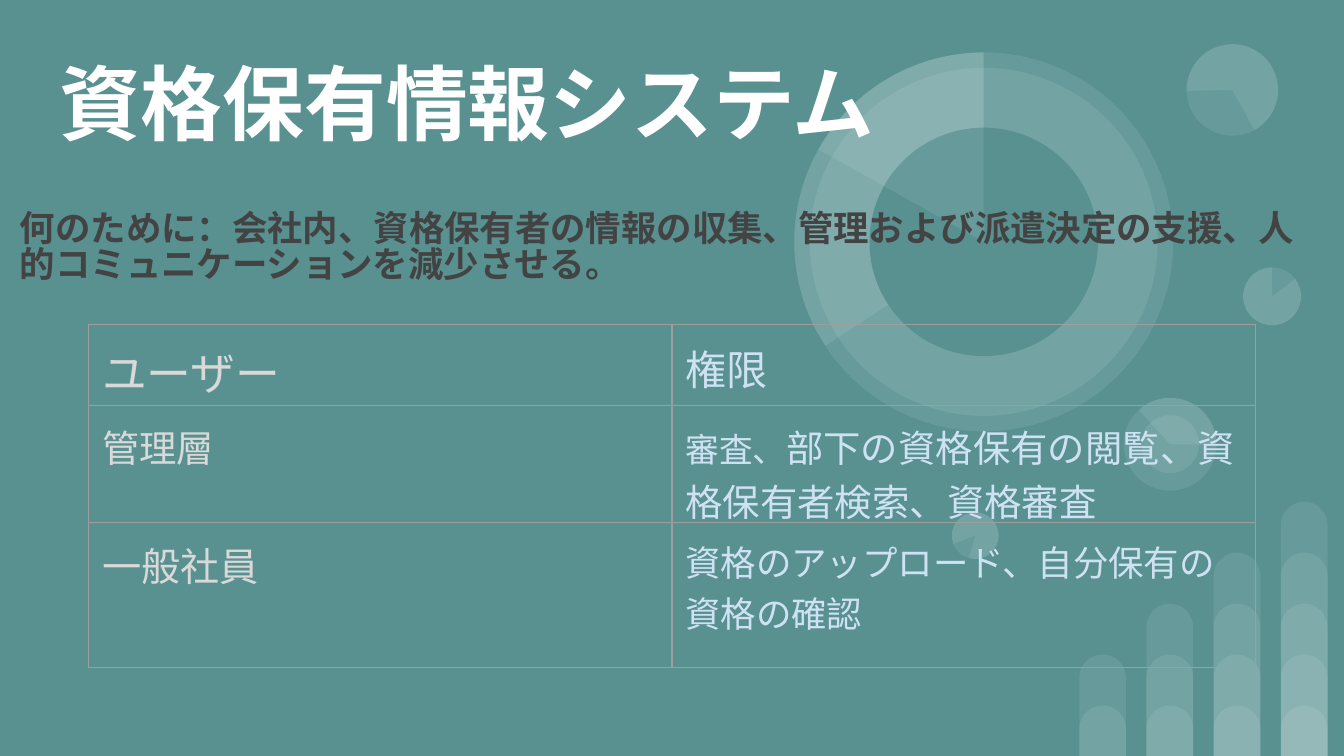
from lxml.etree import SubElement
from pptx import Presentation
from pptx.dml.color import RGBColor
from pptx.enum.shapes import MSO_SHAPE
from pptx.enum.text import MSO_ANCHOR, MSO_AUTO_SIZE, PP_ALIGN
from pptx.oxml import parse_xml
from pptx.oxml.ns import nsdecls, qn
from pptx.util import Pt

COLORS = {
    "background": "599191",
    "white": "FFFFFF",
    "purpose": "434343",
    "user": "D9D9D9",
    "rights": "CFE2F3",
    "border": "9E9E9E",
}
RGB = {name: RGBColor.from_string(value) for name, value in COLORS.items()}
FONT = "Arial"
INSET = Pt(7.2)

prs = Presentation()
prs.slide_width, prs.slide_height = Pt(720), Pt(405)
s = prs.slides.add_slide(prs.slide_layouts[5])
s.background.fill.solid()
s.background.fill.fore_color.rgb = RGB["background"]


def add_decor(kind, left, top, width, height, adjustments=(), rotation=0, color="white"):
    """Add a borderless background shape; white ones are 9% opaque."""
    sp = s.shapes.add_shape(kind, Pt(left), Pt(top), Pt(width), Pt(height))
    sp.shadow.inherit = False
    sp.line.fill.background()
    sp.fill.solid()
    sp.fill.fore_color.rgb = RGB[color]
    if color == "white":
        srgb = sp.element.spPr.find(qn("a:solidFill")).find(qn("a:srgbClr"))
        SubElement(srgb, qn("a:alpha"), val="9000")
    for i, value in enumerate(adjustments):
        sp.adjustments[i] = value
    sp.rotation = rotation


def style(p, size, color, bold=False):
    p.alignment = PP_ALIGN.LEFT
    p.font.name = FONT
    p.font.size = Pt(size)
    p.font.bold = bold
    p.font.color.rgb = RGB[color]


# Overlapping rounded bars, one layer more in each column
for column in range(4):
    for layer in range(column + 2):
        height = 27 + 27.3 * layer
        add_decor(MSO_SHAPE.ROUND_2_SAME_RECTANGLE, 578.2 + 36 * column,
                  405 - height, 25, height, (0.5, 0))

# Discs and pies: centre x, centre y, diameter, rotation, pie angles, colour
RING = (527, 129.6)
circles = [
    (681.5, 158.8, 31, 0, (), "white"),
    (522.4, 286.9, 25, 196.2, (), "white"),
    (626.8, 238, 49.7, 90, (), "white"),
    (626.8, 238, 49.7, 90, (82.45, 162.46), "white"),
    (626.8, 238, 31, 90, (), "white"),
    (681.5, 158.8, 31, 0, (193.77, 162), "white"),
    (660.2, 48.2, 49, 215.9, (), "white"),
    (660.2, 48.2, 49, 215.9, (193.77, 123.14), "white"),
    (*RING, 203, 0, (), "white"),
    (*RING, 186.5, 34.1, (), "white"),
    (*RING, 203, 0, (88.01, 162), "white"),
    (*RING, 122.4, 34.1, (), "background"),
    (*RING, 203, 0, (125.54, 162), "white"),
    (522.4, 286.9, 25, 196.2, (193.77, 162), "white"),
]
for x, y, d, rotation, angles, color in circles:
    kind = MSO_SHAPE.PIE if angles else MSO_SHAPE.OVAL
    add_decor(kind, x - d / 2, y - d / 2, d, d, angles, rotation, color)

# Title, brought in front of the decoration
title = s.shapes.title
title.element.getparent().append(title.element)
title.left, title.top, title.width, title.height = Pt(24.5), Pt(13.7), Pt(671), Pt(133.2)
tf = title.text_frame
tf.auto_size = MSO_AUTO_SIZE.NONE
tf.word_wrap = True
tf.vertical_anchor = MSO_ANCHOR.MIDDLE
tf.margin_left = tf.margin_right = tf.margin_top = INSET
tf.margin_bottom = Pt(59)
tf.text = "資格保有情報システム"
style(tf.paragraphs[0], 43.8, "white", bold=True)

# Purpose
purpose = s.shapes.add_textbox(Pt(3.6), Pt(107.3), Pt(712), Pt(60.5))
tf = purpose.text_frame
tf.word_wrap = True
tf.margin_left = tf.margin_right = tf.margin_top = tf.margin_bottom = INSET
tf.text = "何のために：会社内、資格保有者の情報の収集、管理および派遣決定の支援、人的コミュニケーションを減少させる。"
style(tf.paragraphs[0], 19, "purpose", bold=True)
tf.paragraphs[0].line_spacing = 0.83

# Users and their rights: each cell is a list of (text, size) runs
rows = [
    (43.2, [("ユーザー", 24)], [("権限", 22)]),
    (62.6, [("管理層", 20)],
     [("審査、", 18), ("部下の資格保有の閲覧、資格保有者検索、資格審査", 20)]),
    (77.8, [("一般社員", 21)], [("資格のアップロード、自分保有の資格の確認", 19)]),
]
table = s.shapes.add_table(3, 2, Pt(47.5), Pt(173.9), Pt(625), Pt(183.6)).table
table.first_row = table.horz_banding = False
for column in table.columns:
    column.width = Pt(312.5)
for i, (height, *cells) in enumerate(rows):
    table.rows[i].height = Pt(height)
    for j, (runs, color) in enumerate(zip(cells, ("user", "rights"))):
        cell = table.cell(i, j)
        cell.margin_left = cell.margin_right = INSET
        cell.margin_top = cell.margin_bottom = INSET
        cell.fill.background()
        p = cell.text_frame.paragraphs[0]
        style(p, runs[-1][1], color)
        for text, size in runs:
            r = p.add_run()
            r.text = text
            if size != runs[-1][1]:
                r.font.size = Pt(size)
        tcPr = cell._tc.get_or_add_tcPr()
        for k, side in enumerate(("lnL", "lnR", "lnT", "lnB")):
            tcPr.insert(k, parse_xml(
                f'<a:{side} {nsdecls("a")} w="{Pt(0.75)}"><a:solidFill>'
                f'<a:srgbClr val="{COLORS["border"]}"/></a:solidFill></a:{side}>'))

prs.save("out.pptx")
